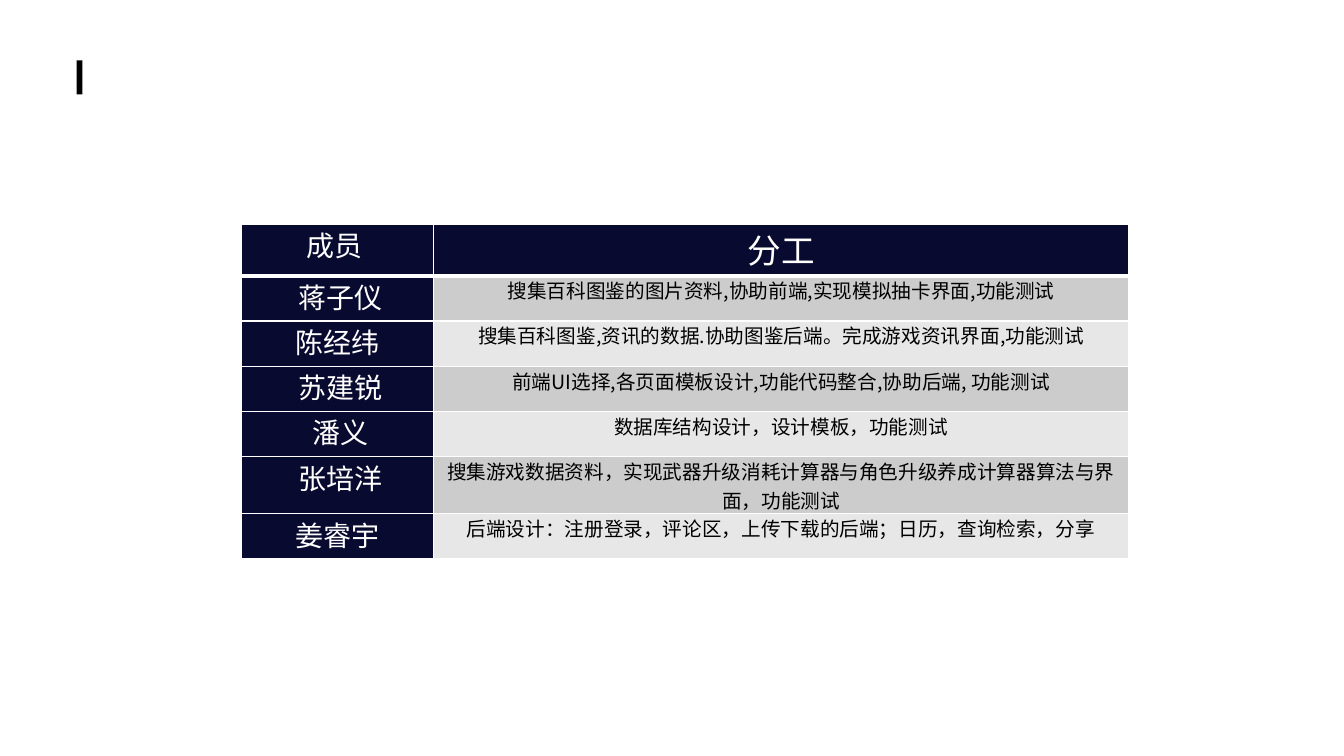
import lxml.etree
import pptx
import pptx.dml.color
import pptx.enum.shapes
import pptx.enum.text
import pptx.oxml.ns
import pptx.util

Cm = pptx.util.Cm
Pt = pptx.util.Pt
RGBColor = pptx.dml.color.RGBColor
qn = pptx.oxml.ns.qn

NAVY = RGBColor(0x08, 0x0A, 0x30)
DARK_BAND = RGBColor(0xCC, 0xCC, 0xCD)
LIGHT_BAND = RGBColor(0xE7, 0xE7, 0xE8)
WHITE = RGBColor(0xFF, 0xFF, 0xFF)
BLACK = RGBColor(0x00, 0x00, 0x00)

HEADINGS = ("成员 ", "分工")
DUTIES = (
    (" 蒋子仪", "搜集百科图鉴的图片资料,协助前端,实现模拟抽卡界面,功能测试"),
    ("陈经纬", "搜集百科图鉴,资讯的数据.协助图鉴后端。完成游戏资讯界面,功能测试"),
    (" 苏建锐", "前端UI选择,各页面模板设计,功能代码整合,协助后端, 功能测试"),
    (" 潘义", "数据库结构设计，设计模板，功能测试"),
    (" 张培洋", "搜集游戏数据资料，实现武器升级消耗计算器与角色升级养成计算器算法与界面，功能测试"),
    ("姜睿宇", "后端设计：注册登录，评论区，上传下载的后端；日历，查询检索，分享"),
)


class DutySlide:
    """Hold the style and the current slide, and draw its elements."""

    heading_font = "Arial"
    body_font = "Noto Sans CJK JP"
    side_inset = Cm(0.19)

    def __init__(self, presentation):
        self.slide = presentation.slides.add_slide(presentation.slide_layouts[6])

    def add_bar(self, left, top, width, height):
        shape = self.slide.shapes.add_shape(
            pptx.enum.shapes.MSO_SHAPE.RECTANGLE, left, top, width, height)
        shape.shadow.inherit = False
        shape.fill.solid()
        shape.fill.fore_color.rgb = BLACK
        shape.line.fill.background()

    def add_table(self, left, top, column_widths, row_heights):
        table = self.slide.shapes.add_table(
            len(row_heights), len(column_widths), left, top,
            sum(column_widths), sum(row_heights)).table
        for column, width in zip(table.columns, column_widths):
            column.width = width
        for row, height in zip(table.rows, row_heights):
            row.height = height
        return table

    def add_borders(self, cell, bottom_width):
        properties = cell._tc.get_or_add_tcPr()
        widths = {"a:lnL": 1, "a:lnR": 1, "a:lnT": 1, "a:lnB": bottom_width}
        for tag, width in widths.items():
            line = lxml.etree.SubElement(properties, qn(tag), w=str(Pt(width)))
            fill = lxml.etree.SubElement(line, qn("a:solidFill"))
            lxml.etree.SubElement(fill, qn("a:srgbClr"), val=str(WHITE))

    def fill_cell(self, cell, text, size, font_name, color, background, bottom_width=1):
        self.add_borders(cell, bottom_width)
        cell.fill.solid()
        cell.fill.fore_color.rgb = background
        cell.margin_left = cell.margin_right = self.side_inset
        cell.margin_top = cell.margin_bottom = 0
        paragraph = cell.text_frame.paragraphs[0]
        paragraph.alignment = pptx.enum.text.PP_ALIGN.CENTER
        run = paragraph.add_run()
        run.text = text
        run.font.size = Pt(size)
        run.font.bold = False
        run.font.name = font_name
        run.font.color.rgb = color
        lxml.etree.SubElement(
            run.font._element, qn("a:ea"), typeface=self.body_font)


def main():
    presentation = pptx.Presentation()
    presentation.slide_width = Cm(33.87)
    presentation.slide_height = Cm(19.05)
    duty_slide = DutySlide(presentation)
    duty_slide.add_bar(Cm(1.93), Cm(1.52), Cm(0.15), Cm(0.86))

    row_heights = [Cm(1.3)] + [Cm(1.14)] * len(DUTIES)
    table = duty_slide.add_table(
        Cm(6.09), Cm(5.65), [Cm(4.83), Cm(17.53)], row_heights)
    for column, (heading, size) in enumerate(zip(HEADINGS, (20, 24))):
        duty_slide.fill_cell(table.cell(0, column), heading, size,
                             duty_slide.heading_font, WHITE, NAVY, 3)
    for row, (member, duty) in enumerate(DUTIES, start=1):
        duty_slide.fill_cell(table.cell(row, 0), member, 20,
                             duty_slide.heading_font, WHITE, NAVY)
        band = DARK_BAND if row % 2 else LIGHT_BAND
        duty_slide.fill_cell(table.cell(row, 1), duty, 14,
                             duty_slide.body_font, BLACK, band)
    presentation.save("out.pptx")


if __name__ == "__main__":
    main()
